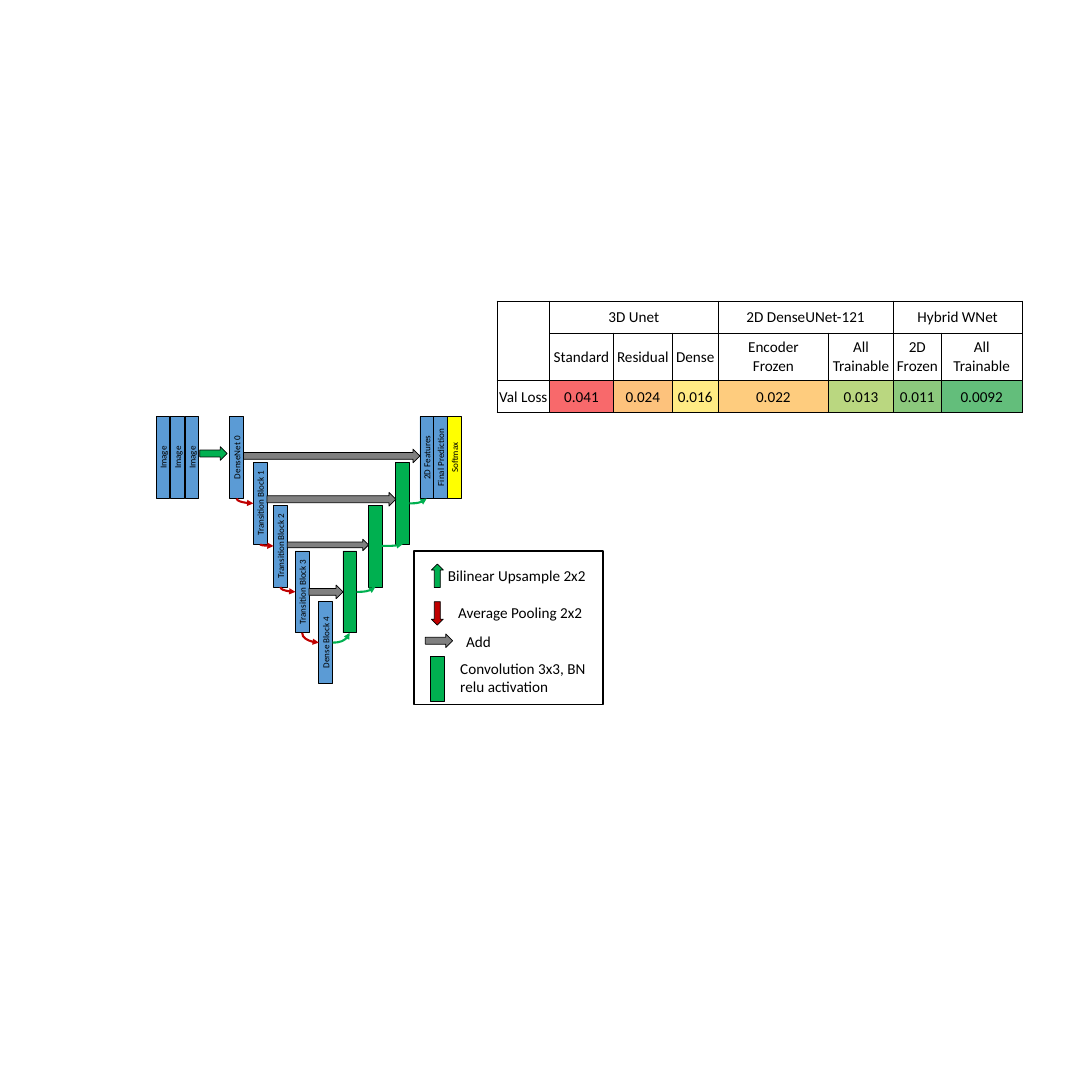
from dataclasses import dataclass
from itertools import pairwise
from typing import Any

import lxml.etree
import pptx
import pptx.dml.color
import pptx.enum.shapes
import pptx.enum.text
import pptx.oxml.ns
import pptx.util

Pt = pptx.util.Pt
qn = pptx.oxml.ns.qn
Preset = pptx.enum.shapes.MSO_SHAPE
Align = pptx.enum.text.PP_ALIGN
Anchor = pptx.enum.text.MSO_ANCHOR


@dataclass(frozen=True)
class Theme:
    font: str = "Calibri"
    block_size: float = 12
    text_size: float = 20
    ink: str = "000000"
    encoder: str = "5B9BD5"
    green: str = "00B050"
    red: str = "C00000"
    skip: str = "808080"
    softmax: str = "FFFF00"


@dataclass(frozen=True)
class Level:
    """One depth of the network; its skip arrow joins encoder and decoder."""
    label: str
    left: float
    top: float
    decoder_left: float
    skip_middle: float = 0
    skip_height: float = 18


@dataclass(frozen=True)
class Symbol:
    preset: Any
    box: tuple[float, float, float, float]
    fill: str
    meaning: str
    text_box: tuple[float, float, float, float]
    align: Any = Align.LEFT


@dataclass(frozen=True)
class Variant:
    label: str
    width: float
    loss: str
    fill: str


THEME = Theme()
BLOCK_WIDTH, BLOCK_HEIGHT = 18, 108
TOP = 549.4

LEVELS = [
    Level("DenseNet 0", 303.1, TOP, 553.7, 601.2),
    Level("Transition Block 1", 334.1, 609.8, 522, 658.4),
    Level("Transition Block 2", 360.7, 666, 486, 718.6, 15.1),
    Level("Transition Block 3", 389.5, 726.5, 452.2, 780.5),
    Level("Dense Block 4", 420.5, 793.4, 420.5),
]
OUTPUTS = [("2D Features", THEME.encoder), ("Final Prediction", THEME.encoder),
           ("Softmax", THEME.softmax)]
LEGEND = [
    Symbol(Preset.UP_ARROW, (568.8, 743.8, 15.8, 31), THEME.green,
           "Bilinear Upsample 2x2", (582.5, 743, 198, 31.7), Align.CENTER),
    Symbol(Preset.DOWN_ARROW, (568.8, 793.4, 15.8, 31), THEME.red,
           "Average Pooling 2x2", (596.9, 792.7, 179.3, 31.7)),
    Symbol(Preset.RIGHT_ARROW, (560.9, 835.9, 36, 18), THEME.skip,
           "Add", (607.7, 830.2, 47.5, 31.7)),
    Symbol(Preset.RECTANGLE, (567.4, 865.4, 18, 59), THEME.green,
           "Convolution 3x3, BN\vrelu activation", (599.8, 866.2, 180.7, 55.4)),
]
RESULTS = {
    "3D Unet": [Variant("Standard", 83.5, "0.041", "F8696B"),
                Variant("Residual", 78.5, "0.024", "FDC27C"),
                Variant("Dense", 59.8, "0.016", "FFEB84")],
    "2D DenseUNet-121": [Variant("Encoder\nFrozen", 146.2, "0.022", "FECC7E"),
                         Variant("All\nTrainable", 85, "0.013", "BAD780")],
    "Hybrid WNet": [Variant("2D\nFrozen", 63.4, "0.011", "8CC97D"),
                    Variant("All\nTrainable", 106.6, "0.0092", "63BE7B")],
}
CELL_FORMAT = {"margin_left": Pt(0.72), "margin_right": Pt(0.72), "margin_top": Pt(0.72),
               "margin_bottom": Pt(0), "vertical_anchor": Anchor.MIDDLE}


def rgb(value: str) -> Any:
    return pptx.dml.color.RGBColor.from_string(value)


def write(frame: Any, text: str, size: float, align: Any = Align.CENTER) -> None:
    frame.text = text
    for paragraph in frame.paragraphs:
        paragraph.alignment = align
        for name, value in {"name": THEME.font, "size": Pt(size)}.items():
            setattr(paragraph.font, name, value)
        paragraph.font.color.rgb = rgb(THEME.ink)


def add_outlined(slide: Any, preset: Any, box: tuple[float, float, float, float],
                 fill: str | None, line_width: float = 1) -> Any:
    shape = slide.shapes.add_shape(preset, *map(Pt, box))
    shape.shadow.inherit = False
    if fill:
        shape.fill.solid()
        shape.fill.fore_color.rgb = rgb(fill)
    else:
        shape.fill.background()
    shape.line.color.rgb = rgb(THEME.ink)
    shape.line.width = Pt(line_width)
    return shape


def add_block(slide: Any, left: float, top: float, fill: str, label: str = "") -> None:
    block = add_outlined(slide, Preset.RECTANGLE, (left, top, BLOCK_WIDTH, BLOCK_HEIGHT), fill)
    if label:
        frame = block.text_frame
        frame.vertical_anchor = Anchor.MIDDLE
        frame._txBody.bodyPr.set("vert", "vert270")
        write(frame, label, THEME.block_size)


def add_bend(slide: Any, start: tuple[float, float], end: tuple[float, float],
             color: str, leaves_down: bool = False) -> None:
    """Quarter-curve arrow that leaves sideways, or downwards by a turned frame."""
    (x1, y1), (x2, y2) = start, end
    if leaves_down:
        middle_x, middle_y = (x1 + x2) / 2, (y1 + y2) / 2
        half_width, half_height = (y2 - y1) / 2, (x2 - x1) / 2
        x1, x2 = middle_x + half_width, middle_x - half_width
        y1, y2 = middle_y - half_height, middle_y + half_height
    bend = slide.shapes.add_connector(pptx.enum.shapes.MSO_CONNECTOR.CURVE,
                                      *map(Pt, (x1, y1, x2, y2)))
    bend.line.color.rgb = rgb(color)
    bend.line.width = Pt(2.75)
    properties = bend._element.spPr
    properties.find(qn("a:prstGeom")).set("prst", "curvedConnector2")
    if leaves_down:
        properties.find(qn("a:xfrm")).set("rot", str(270 * 60000))
    lxml.etree.SubElement(properties.find(qn("a:ln")), qn("a:tailEnd"), type="triangle")
    lxml.etree.SubElement(properties, qn("a:effectLst"))


def add_network(slide: Any) -> None:
    for index in range(3):
        add_block(slide, 206 + 19.1 * index, TOP, THEME.encoder, "Image")
    add_outlined(slide, Preset.RIGHT_ARROW, (263.5, 589, 36, 18), THEME.green)
    for index, (label, fill) in enumerate(OUTPUTS):
        add_block(slide, LEVELS[0].decoder_left + 18.3 * index, TOP, fill, label)
    for level in LEVELS:
        add_block(slide, level.left, level.top, THEME.encoder, level.label)
    for level in LEVELS[1:-1]:
        add_block(slide, level.decoder_left, level.top, THEME.green)
    for upper, lower in pairwise(LEVELS):
        encoder_right = upper.left + BLOCK_WIDTH
        add_outlined(slide, Preset.RIGHT_ARROW,
                     (encoder_right, upper.skip_middle - upper.skip_height / 2,
                      upper.decoder_left - encoder_right, upper.skip_height), THEME.skip)
        bottom, middle = upper.top + BLOCK_HEIGHT, lower.top + BLOCK_HEIGHT / 2
        add_bend(slide, (upper.left + BLOCK_WIDTH / 2, bottom), (lower.left, middle),
                 THEME.red, leaves_down=True)
        add_bend(slide, (lower.decoder_left + BLOCK_WIDTH, middle),
                 (upper.decoder_left + BLOCK_WIDTH / 2, bottom), THEME.green)


def add_legend(slide: Any) -> None:
    add_outlined(slide, Preset.RECTANGLE, (545.8, 726.5, 249.1, 202.3), None, 2)
    for symbol in LEGEND:
        add_outlined(slide, symbol.preset, symbol.box, symbol.fill)
        frame = slide.shapes.add_textbox(*map(Pt, symbol.text_box)).text_frame
        frame.word_wrap = False
        frame.auto_size = pptx.enum.text.MSO_AUTO_SIZE.SHAPE_TO_FIT_TEXT
        write(frame, symbol.meaning, THEME.text_size, symbol.align)


def format_cell(cell: Any, text: str, fill: str | None) -> None:
    for name, value in CELL_FORMAT.items():
        setattr(cell, name, value)
    for side in ("a:lnL", "a:lnR", "a:lnT", "a:lnB"):
        border = lxml.etree.SubElement(cell._tc.get_or_add_tcPr(), qn(side), w=str(Pt(1)))
        paint = lxml.etree.SubElement(border, qn("a:solidFill"))
        lxml.etree.SubElement(paint, qn("a:srgbClr"), val=THEME.ink)
    if fill:
        cell.fill.solid()
        cell.fill.fore_color.rgb = rgb(fill)
    else:
        cell.fill.background()
    write(cell.text_frame, text, THEME.text_size)


def add_results(slide: Any) -> None:
    columns = [("", "", "Val Loss", 69.8, None)]
    for model, variants in RESULTS.items():
        columns += [("" if index else model, variant.label, variant.loss, variant.width, variant.fill)
                    for index, variant in enumerate(variants)]
    heights = (42.5, 62.6, 42.5)
    table = slide.shapes.add_table(len(heights), len(columns), Pt(655.2), Pt(396.7),
                                   Pt(sum(column[3] for column in columns)),
                                   Pt(sum(heights))).table
    table.first_row = table.horz_banding = False
    for row, height in zip(table.rows, heights):
        row.height = Pt(height)
    for index, (*texts, width, loss_fill) in enumerate(columns):
        table.columns[index].width = Pt(width)
        for row, (text, fill) in enumerate(zip(texts, (None, None, loss_fill))):
            format_cell(table.cell(row, index), text, fill)
    table.cell(0, 0).merge(table.cell(1, 0))
    first = 1
    for variants in RESULTS.values():
        table.cell(0, first).merge(table.cell(0, first + len(variants) - 1))
        first += len(variants)


def main() -> None:
    deck = pptx.Presentation()
    deck.slide_width = deck.slide_height = Pt(1440)
    slide = deck.slides.add_slide(deck.slide_layouts[6])
    add_network(slide)
    add_legend(slide)
    add_results(slide)
    deck.save("out.pptx")


if __name__ == "__main__":
    main()
